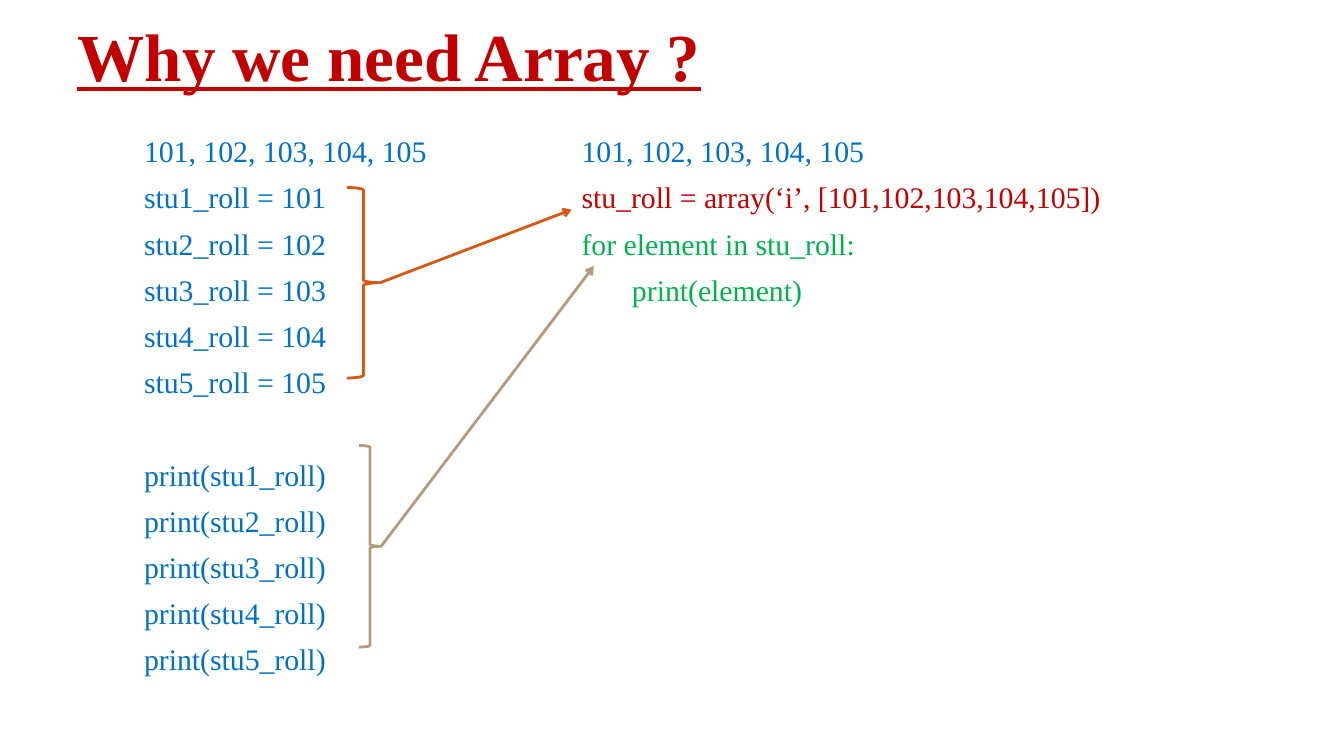
import pptx
import pptx.util
import pptx.dml.color
import pptx.enum.shapes
import pptx.enum.text
import pptx.oxml

Inches = pptx.util.Inches
Pt = pptx.util.Pt

COLORS = {"red": "C00000", "blue": "0070C0", "green": "00B050",
          "orange": "D55816", "tan": "B19C7D"}
FONT = "Times New Roman"
ROLLS = range(101, 106)
GAP = 10
BLOCK_GAP = 43


def rgb(name):
    return pptx.dml.color.RGBColor.from_string(COLORS[name])


def write(p, text, size=21.3, color="blue", bold=False, underline=False, before=0):
    p.line_spacing = 0.9
    p.space_before = Pt(before)
    r = p.add_run()
    r.text = text
    r.font.name = FONT
    r.font.size = Pt(size)
    r.font.bold = bold
    r.font.underline = underline
    r.font.color.rgb = rgb(color)


def add_frame(s, left, top, width, height):
    tf = s.shapes.add_textbox(Inches(left), Inches(top), Inches(width), Inches(height)).text_frame
    tf.word_wrap = True
    return tf


def add_title(s, left, top, width, height):
    tf = add_frame(s, left, top, width, height)
    tf.vertical_anchor = pptx.enum.text.MSO_ANCHOR.MIDDLE
    write(tf.paragraphs[0], "Why we need Array ?", size=48, color="red",
          bold=True, underline=True)


def add_code(s, left, top, width, height, blocks):
    """Write blocks of (text, color) lines, with a wider gap between blocks."""
    tf = add_frame(s, left, top, width, height)
    p = tf.paragraphs[0]
    for b, block in enumerate(blocks):
        for i, (text, color) in enumerate(block):
            if b or i:
                p = tf.add_paragraph()
            before = GAP if i else BLOCK_GAP if b else 0
            write(p, text, color=color, before=before)


def add_brace_arrow(s, left, top, width, height, target, color):
    """Draw a right brace and an arrow from its tip to the target point."""
    brace = s.shapes.add_shape(pptx.enum.shapes.MSO_SHAPE.RIGHT_BRACE, Inches(left),
                               Inches(top), Inches(width), Inches(height))
    brace.shadow.inherit = False
    brace.fill.background()
    arrow = s.shapes.add_connector(pptx.enum.shapes.MSO_CONNECTOR.STRAIGHT,
                                   Inches(left + width), Inches(top + height / 2),
                                   Inches(target[0]), Inches(target[1]))
    for sp in (brace, arrow):
        sp.line.color.rgb = rgb(color)
        sp.line.width = Pt(2)
    ns = pptx.oxml.ns.nsdecls("a")
    arrow.line._get_or_add_ln().append(
        pptx.oxml.parse_xml(f'<a:tailEnd {ns} type="arrow"/>'))
    arrow._element.spPr.append(pptx.oxml.parse_xml(f"<a:effectLst {ns}/>"))


def main():
    prs = pptx.Presentation()
    prs.slide_width = Inches(13.33)
    prs.slide_height = Inches(7.5)
    s = prs.slides.add_slide(prs.slide_layouts[6])

    numbers = (", ".join(map(str, ROLLS)), "blue")
    assignments = [(f"stu{i}_roll = {roll}", "blue") for i, roll in enumerate(ROLLS, 1)]
    prints = [(f"print(stu{i}_roll)", "blue") for i, _ in enumerate(ROLLS, 1)]
    array_code = [("stu_roll = array(‘i’, [101,102,103,104,105])", "red"),
                  ("for element in stu_roll:", "green"),
                  ("\tprint(element)", "green")]

    add_title(s, 0.67, -0.03, 12, 1.25)
    add_code(s, 1.33, 1.31, 4.11, 5.44, [[numbers, *assignments], prints])
    add_code(s, 5.67, 1.31, 7, 4.95, [[numbers, *array_code]])
    add_brace_arrow(s, 3.44, 1.86, 0.33, 1.89, (5.67, 2.08), "orange")
    add_brace_arrow(s, 3.56, 4.42, 0.22, 2, (5.89, 2.64), "tan")
    prs.save("out.pptx")


if __name__ == "__main__":
    main()
